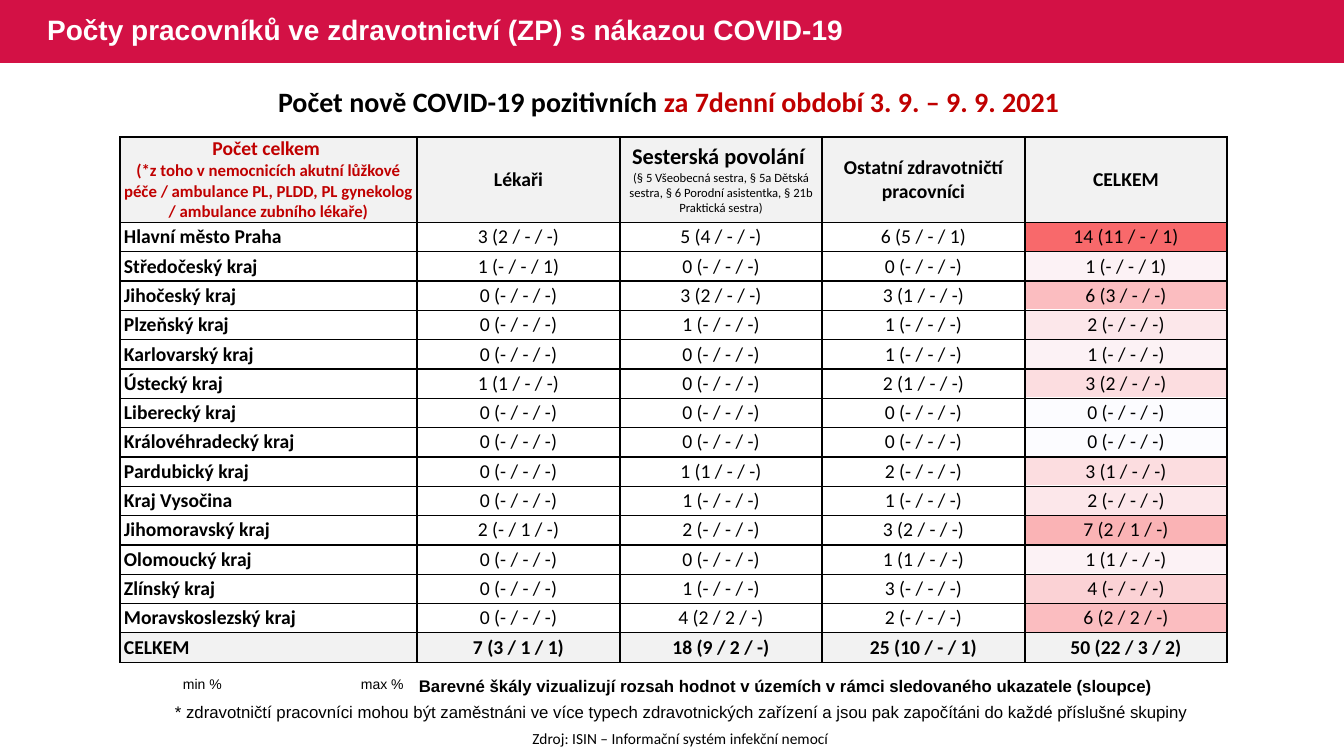
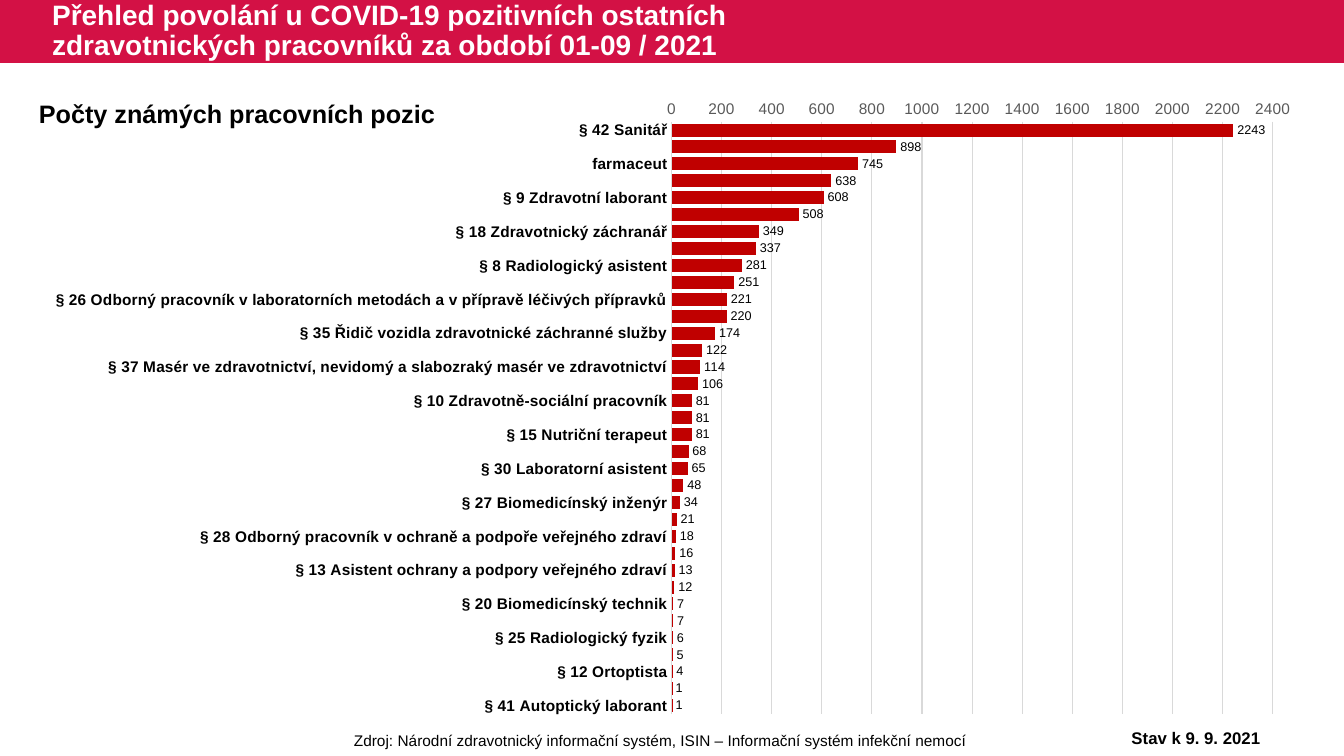
from dataclasses import dataclass
from math import ceil

from lxml import etree
from pptx import Presentation
from pptx.chart.data import CategoryChartData
from pptx.dml.color import RGBColor
from pptx.enum.chart import XL_CHART_TYPE, XL_LABEL_POSITION, XL_TICK_MARK
from pptx.enum.shapes import MSO_SHAPE
from pptx.enum.text import MSO_ANCHOR, MSO_AUTO_SIZE, PP_ALIGN
from pptx.oxml.ns import qn
from pptx.util import Emu, Pt

BAR_CLUSTERED = XL_CHART_TYPE.BAR_CLUSTERED
OUTSIDE_END = XL_LABEL_POSITION.OUTSIDE_END
NO_TICK = XL_TICK_MARK.NONE
RECTANGLE = MSO_SHAPE.RECTANGLE
MIDDLE = MSO_ANCHOR.MIDDLE
NO_AUTOFIT = MSO_AUTO_SIZE.NONE
LEFT, CENTER = PP_ALIGN.LEFT, PP_ALIGN.CENTER

CRIMSON = RGBColor(0xD3, 0x11, 0x45)
RED = RGBColor(0xC0, 0x00, 0x00)
BLACK = RGBColor(0x00, 0x00, 0x00)
WHITE = RGBColor(0xFF, 0xFF, 0xFF)
PALE_GRAY = RGBColor(0xF2, 0xF2, 0xF2)
GRID_GRAY = RGBColor(0xD9, 0xD9, 0xD9)
AXIS_GRAY = RGBColor(0x59, 0x59, 0x59)
SCALE_MIN = RGBColor(0xFC, 0xFC, 0xFF)
SCALE_MAX = RGBColor(0xF8, 0x69, 0x6B)

SLIDE_W, SLIDE_H, BAND_H = 1344, 756, 63
TITLE_ONLY = 5


@dataclass(frozen=True)
class Box:
    left: int
    top: int
    width: int
    height: int


@dataclass(frozen=True)
class Style:
    size: int
    bold: bool = False
    color: RGBColor = BLACK
    font: str = "Arial"
    align: PP_ALIGN = LEFT


@dataclass(frozen=True)
class Line:
    text: str
    style: Style


@dataclass(frozen=True)
class Region:
    name: str
    counts: tuple[str, str, str, str]

    def total(self) -> int:
        return int(self.counts[-1].split()[0])


def px(length: int) -> Emu:
    return Emu(round(length * 914400 / 100.8))


def frame(box: Box) -> tuple[Emu, Emu, Emu, Emu]:
    return px(box.left), px(box.top), px(box.width), px(box.height)


def apply_font(font, style: Style) -> None:
    font.name, font.size, font.bold = style.font, Pt(style.size), style.bold
    font.color.rgb = style.color


def write_lines(text_frame, lines: list[Line]) -> None:
    for index, line in enumerate(lines):
        paragraph = text_frame.paragraphs[0] if index == 0 else text_frame.add_paragraph()
        paragraph.add_run().text = line.text
        paragraph.alignment = line.style.align
        apply_font(paragraph.font, line.style)


def add_text(slide, box: Box, text: str, style: Style, wrap: bool = True):
    text_frame = slide.shapes.add_textbox(*frame(box)).text_frame
    text_frame.word_wrap = wrap
    write_lines(text_frame, [Line(text, style)])
    return text_frame


# Shared band and titles
def add_layout_band(layout, slide) -> None:
    band = slide.shapes.add_shape(RECTANGLE, *frame(Box(0, 0, SLIDE_W, BAND_H)))
    band.shadow.inherit = False
    band.fill.solid()
    band.fill.fore_color.rgb = CRIMSON
    band.line.fill.background()
    layout.shapes._spTree.insert(2, band._element)


def set_title(slide, left: int, width: int, text: str) -> None:
    title = slide.shapes.title
    title.left, title.top, title.width, title.height = frame(Box(left, 0, width, BAND_H))
    title.text_frame.auto_size = NO_AUTOFIT
    title.text_frame.vertical_anchor = MIDDLE
    write_lines(title.text_frame, [Line(text, Style(20, True, WHITE))])
    title.text_frame.paragraphs[0].line_spacing = 0.9


# Table of regions
CELL = Style(14, font="Calibri", align=CENTER)
CELL_BOLD = Style(14, True, font="Calibri", align=CENTER)
REGION_NAME = Style(14, True, font="Calibri")
HEADER = [
    [Line("Počet celkem ", Style(14, True, RED, "Calibri", CENTER)),
     Line("(*z toho v nemocnicích akutní lůžkové péče / ambulance PL, PLDD, "
          "PL gynekolog / ambulance zubního lékaře)", Style(12, True, RED, "Calibri", CENTER))],
    [Line("Lékaři", CELL_BOLD)],
    [Line("Sesterská povolání ", Style(16, True, font="Calibri", align=CENTER)),
     Line("(§ 5 Všeobecná sestra, § 5a Dětská sestra, § 6 Porodní asistentka, "
          "§ 21b Praktická sestra)", Style(9, font="Calibri", align=CENTER))],
    [Line("Ostatní zdravotničtí pracovníci", CELL_BOLD)],
    [Line("CELKEM", CELL_BOLD)],
]
NONE = "0 (- / - / -)"
REGIONS = [
    Region("Hlavní město Praha", ("3 (2 / - / -)", "5 (4 / - / -)", "6 (5 / - / 1)", "14 (11 / - / 1)")),
    Region("Středočeský kraj", ("1 (- / - / 1)", NONE, NONE, "1 (- / - / 1)")),
    Region("Jihočeský kraj", (NONE, "3 (2 / - / -)", "3 (1 / - / -)", "6 (3 / - / -)")),
    Region("Plzeňský kraj", (NONE, "1 (- / - / -)", "1 (- / - / -)", "2 (- / - / -)")),
    Region("Karlovarský kraj", (NONE, NONE, "1 (- / - / -)", "1 (- / - / -)")),
    Region("Ústecký kraj", ("1 (1 / - / -)", NONE, "2 (1 / - / -)", "3 (2 / - / -)")),
    Region("Liberecký kraj", (NONE, NONE, NONE, NONE)),
    Region("Královéhradecký kraj", (NONE, NONE, NONE, NONE)),
    Region("Pardubický kraj", (NONE, "1 (1 / - / -)", "2 (- / - / -)", "3 (1 / - / -)")),
    Region("Kraj Vysočina", (NONE, "1 (- / - / -)", "1 (- / - / -)", "2 (- / - / -)")),
    Region("Jihomoravský kraj", ("2 (- / 1 / -)", "2 (- / - / -)", "3 (2 / - / -)", "7 (2 / 1 / -)")),
    Region("Olomoucký kraj", (NONE, NONE, "1 (1 / - / -)", "1 (1 / - / -)")),
    Region("Zlínský kraj", (NONE, "1 (- / - / -)", "3 (- / - / -)", "4 (- / - / -)")),
    Region("Moravskoslezský kraj", (NONE, "4 (2 / 2 / -)", "2 (- / - / -)", "6 (2 / 2 / -)")),
]
COUNTRY = Region("CELKEM", ("7 (3 / 1 / 1)", "18 (9 / 2 / -)", "25 (10 / - / 1)", "50 (22 / 3 / 2)"))
ROWS = [*REGIONS, COUNTRY]
COLUMN_WIDTHS = [297, 203, 202, 203, 202]
TABLE_LEFT, TABLE_TOP, HEADER_H, BODY_H = 120, 137, 85, 440


def scale_color(value: int, highest: int) -> RGBColor:
    return RGBColor(*(ceil(low + (high - low) * value / highest)
                      for low, high in zip(SCALE_MIN, SCALE_MAX)))


def add_plain_table(slide, box: Box, rows: int, columns: int):
    table = slide.shapes.add_table(rows, columns, *frame(box)).table
    table.first_row = table.horz_banding = False
    for row in table.rows:
        row.height = px(BODY_H) // len(ROWS)
    return table


def paint_cell(cell, color: RGBColor | None) -> None:
    if color is None:
        cell.fill.background()
    else:
        cell.fill.solid()
        cell.fill.fore_color.rgb = color


def fill_cell(cell, lines: list[Line], color: RGBColor | None, side_margin: int) -> None:
    cell.vertical_anchor = MIDDLE
    cell.margin_left = cell.margin_right = px(side_margin)
    cell.margin_top = cell.margin_bottom = 0
    write_lines(cell.text_frame, lines)
    properties = cell._tc.get_or_add_tcPr()
    for side in ("a:lnL", "a:lnR", "a:lnT", "a:lnB"):
        border = etree.SubElement(properties, qn(side), w=str(Pt(1)))
        solid = etree.SubElement(border, qn("a:solidFill"))
        etree.SubElement(solid, qn("a:srgbClr"), val=str(BLACK))
    paint_cell(cell, color)


def add_color_scale(slide) -> None:
    width = COLUMN_WIDTHS[-1]
    box = Box(TABLE_LEFT + sum(COLUMN_WIDTHS) - width, TABLE_TOP + HEADER_H, width, BODY_H)
    table = add_plain_table(slide, box, len(ROWS), 1)
    highest = max(region.total() for region in REGIONS)
    for index, region in enumerate(ROWS):
        cell = table.cell(index, 0)
        cell.margin_top = cell.margin_bottom = 0
        etree.SubElement(cell.text_frame.paragraphs[0]._p, qn("a:endParaRPr"), sz="1000")
        paint_cell(cell, None if region is COUNTRY else scale_color(region.total(), highest))


def add_region_table(slide) -> None:
    box = Box(TABLE_LEFT, TABLE_TOP, sum(COLUMN_WIDTHS), HEADER_H + BODY_H)
    table = add_plain_table(slide, box, len(ROWS) + 1, len(COLUMN_WIDTHS))
    table.rows[0].height = px(HEADER_H)
    for column, width in zip(table.columns, COLUMN_WIDTHS):
        column.width = px(width)

    for column, lines in enumerate(HEADER):
        fill_cell(table.cell(0, column), lines, PALE_GRAY, 4)
    for index, region in enumerate(ROWS, start=1):
        color, style = (PALE_GRAY, CELL_BOLD) if region is COUNTRY else (None, CELL)
        fill_cell(table.cell(index, 0), [Line(region.name, REGION_NAME)], color, 4)
        for column, count in enumerate(region.counts, start=1):
            fill_cell(table.cell(index, column), [Line(count, style)], color, 1)


def build_regions(slide) -> None:
    set_title(slide, 37, 867, "Počty pracovníků ve zdravotnictví (ZP) s nákazou COVID-19")
    add_color_scale(slide)
    add_region_table(slide)
    heading = add_text(slide, Box(67, 80, 1210, 44), "Počet nově COVID-19 pozitivních ",
                       Style(20, True, font="Calibri", align=CENTER))
    period = heading.paragraphs[0].add_run()
    period.text = "za 7denní období 3. 9. – 9. 9. 2021 "
    period.font.color.rgb = RED

    # Legend and notes
    legend = slide.shapes.add_textbox(*frame(Box(183, 676, 228, 17))).text_frame
    legend.margin_left = legend.margin_right = legend.margin_top = legend.margin_bottom = 0
    legend.word_wrap = True
    tabs = etree.SubElement(legend.paragraphs[0]._p.get_or_add_pPr(), qn("a:tabLst"))
    etree.SubElement(tabs, qn("a:tab"), pos=str(px(178)), algn="l")
    write_lines(legend, [Line("min %\tmax %", Style(10))])
    add_text(slide, Box(409, 671, 778, 30), "Barevné škály vizualizují rozsah hodnot v územích "
             "v rámci sledovaného ukazatele (sloupce)", Style(12, True))
    add_text(slide, Box(165, 697, 1036, 30), "* zdravotničtí pracovníci mohou být zaměstnáni "
             "ve více typech zdravotnických zařízení a jsou pak započítáni do každé příslušné skupiny",
             Style(12))
    add_text(slide, Box(330, 724, 701, 29), "Zdroj: ISIN – Informační systém infekční nemocí",
             Style(11, font="Calibri", align=CENTER))


# Chart of occupations
OCCUPATIONS = [
    ("§ 42 Sanitář", 2243), ("§ 24 Fyzioterapeut", 898), ("farmaceut", 745),
    ("§ 19 Farmaceutický asistent", 638), ("§ 9 Zdravotní laborant", 608),
    ("§ 36 Ošetřovatel", 508), ("§ 18 Zdravotnický záchranář", 349),
    ("§ 39 Zubní instrumentářka", 337), ("§ 8 Radiologický asistent", 281),
    ("§ 16 Zubní technik", 251),
    ("§ 26 Odborný pracovník v laboratorních metodách a v přípravě léčivých přípravků", 221),
    ("§ 40 Řidič zdravotnické dopravní služby", 220),
    ("§ 35 Řidič vozidla zdravotnické záchranné služby", 174),
    ("§ 17 Dentální hygienistka", 122),
    ("§ 37 Masér ve zdravotnictví, nevidomý a slabozraký masér ve zdravotnictví", 114),
    ("§ 22 Psycholog ve zdravotnictví", 106), ("§ 10 Zdravotně-sociální pracovník", 81),
    ("§ 11 Optometrista", 81), ("§ 15 Nutriční terapeut", 81), ("§ 7 Ergoterapeut", 68),
    ("§ 30 Laboratorní asistent", 65), ("§ 23 Logoped ve zdravotnictví", 48),
    ("§ 27 Biomedicínský inženýr", 34), ("§ 33 Asistent zubního technika", 21),
    ("§ 28 Odborný pracovník v ochraně a podpoře veřejného zdraví", 18),
    ("§ 21a Adiktolog", 16), ("§ 13 Asistent ochrany a podpory veřejného zdraví", 13),
    ("§ 14 Ortotik-protetik", 12), ("§ 20 Biomedicínský technik", 7),
    ("§ 31 Ortoticko-protetický technik", 7), ("§ 25 Radiologický fyzik", 6),
    ("§ 32 Nutriční asistent", 5), ("§ 12 Ortoptista", 4),
    ("§ 21 Radiologický technik", 1), ("§ 41 Autoptický laborant", 1),
]
PLOT_AREA = {"x": 0.51, "y": 0.06, "w": 0.46, "h": 0.92}


def place_plot(chart) -> None:
    plot_area = chart._chartSpace.find(".//" + qn("c:plotArea"))
    for automatic in plot_area.findall(qn("c:layout")):
        plot_area.remove(automatic)
    layout = etree.Element(qn("c:layout"))
    manual = etree.SubElement(layout, qn("c:manualLayout"))
    settings = {"layoutTarget": "inner", "xMode": "edge", "yMode": "edge", **PLOT_AREA}
    for tag, value in settings.items():
        etree.SubElement(manual, qn("c:" + tag), val=str(value))
    plot_area.insert(0, layout)


def add_occupation_chart(slide) -> None:
    data = CategoryChartData()
    data.categories = [name for name, _ in OCCUPATIONS]
    data.add_series("Series 1", [count for _, count in OCCUPATIONS])
    chart = slide.shapes.add_chart(BAR_CLUSTERED, *frame(Box(5, 83, 1307, 644)), data).chart
    chart.has_title = chart.has_legend = False
    apply_font(chart.font, Style(10))
    place_plot(chart)

    bars = chart.plots[0]
    bars.gap_width, bars.overlap, bars.vary_by_categories = 30, 100, False
    bars.series[0].format.fill.solid()
    bars.series[0].format.fill.fore_color.rgb = RED
    bars.has_data_labels = True
    bars.data_labels.show_value = True
    bars.data_labels.position = OUTSIDE_END
    apply_font(bars.data_labels.font, Style(9))

    names, counts = chart.category_axis, chart.value_axis
    for axis, style in ((names, Style(11, True)), (counts, Style(11, color=AXIS_GRAY))):
        axis.major_tick_mark = axis.minor_tick_mark = NO_TICK
        apply_font(axis.tick_labels.font, style)
    names.reverse_order = True
    counts.minimum_scale, counts.maximum_scale, counts.major_unit = 0, 2400, 200
    counts.format.line.fill.background()
    for line in (names.format.line, counts.major_gridlines.format.line):
        line.color.rgb = GRID_GRAY
        line.width = Pt(0.75)


def build_occupations(slide) -> None:
    set_title(slide, 42, 833, "Přehled povolání u COVID-19 pozitivních ostatních "
              "zdravotnických pracovníků za období 01-09 / 2021")
    add_occupation_chart(slide)
    add_text(slide, Box(29, 93, 419, 40), "Počty známých pracovních pozic", Style(18, True), wrap=False)
    add_text(slide, Box(238, 726, 845, 29), "Zdroj: Národní zdravotnický informační systém, "
             "ISIN – Informační systém infekční nemocí", Style(11, align=CENTER))
    add_text(slide, Box(1085, 723, 222, 30), "Stav k 9. 9. 2021", Style(12, True, align=CENTER))


def main() -> None:
    presentation = Presentation()
    presentation.slide_width, presentation.slide_height = px(SLIDE_W), px(SLIDE_H)
    layout = presentation.slide_layouts[TITLE_ONLY]
    regions, occupations = (presentation.slides.add_slide(layout) for _ in range(2))
    add_layout_band(layout, regions)
    build_regions(regions)
    build_occupations(occupations)
    presentation.save("out.pptx")


if __name__ == "__main__":
    main()
